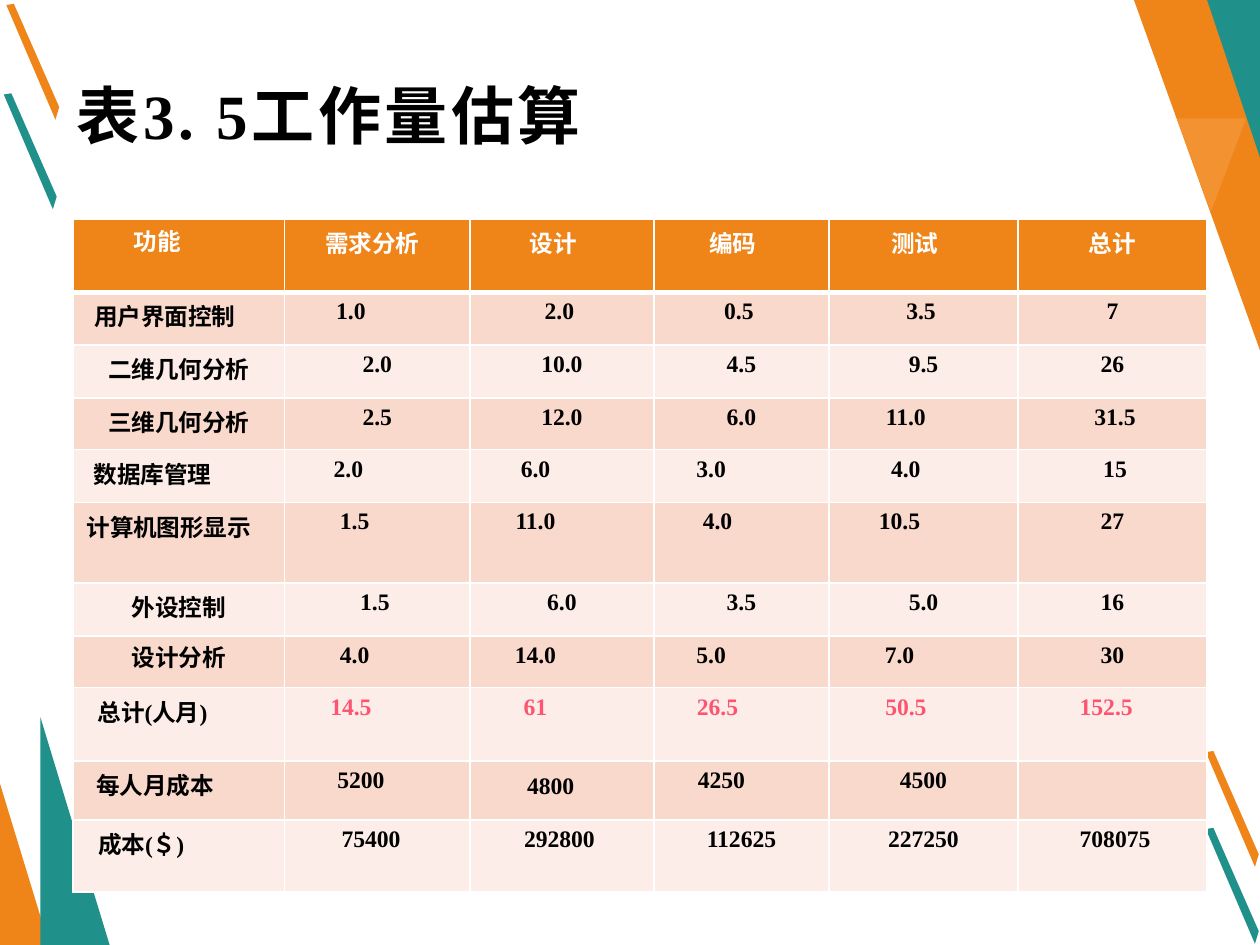
from lxml import etree
from pptx import Presentation
from pptx.dml.color import RGBColor
from pptx.enum.shapes import MSO_SHAPE as Shape
from pptx.enum.text import MSO_ANCHOR as Anchor, PP_ALIGN as Align
from pptx.oxml.ns import qn
from pptx.util import Inches, Pt

LATIN, CHINESE = "Times New Roman", "Noto Sans CJK SC"
ORANGE, TEAL, LIGHT_ORANGE = "EF8519", "20908A", "F39231"
BLACK, WHITE, PINK = "000000", "FFFFFF", "FD5571"
BANDS = ["FCEDE8", "F9D9CC"]

TITLE = "表3. 5工作量估算"
ROWS = [
    ["功能", "需求分析", "设计", "编码", "测试", "总计"],
    ["用户界面控制", "1.0", "2.0", "0.5", "3.5", "7"],
    ["二维几何分析", "2.0", "10.0", "4.5", "9.5", "26"],
    ["三维几何分析", "2.5", "12.0", "6.0", "11.0", "31.5"],
    ["数据库管理", "2.0", "6.0", "3.0", "4.0", "15"],
    ["计算机图形显示", "1.5", "11.0", "4.0", "10.5", "27"],
    ["外设控制", "1.5", "6.0", "3.5", "5.0", "16"],
    ["设计分析", "4.0", "14.0", "5.0", "7.0", "30"],
    ["总计(人月)", "14.5", "61", "26.5", "50.5", "152.5"],
    ["每人月成本", "5200", "4800", "4250", "4500", ""],
    ["成本(＄)", "75400", "292800", "112625", "227250", "708075"],
]
CENTRE_SHIFTS = [
    [-0.17, -0.04, -0.07, -0.07, -0.07, 0],
    [-0.11, -0.21, -0.02, -0.02, -0.02, 0],
    [0, 0, 0, 0, 0, 0],
    [0, 0, 0, 0, -0.14, 0.02],
    [-0.21, -0.23, -0.21, -0.24, -0.14, 0.02],
    [-0.08, -0.18, -0.21, -0.19, -0.19, 0],
    [0, -0.02, 0, 0, 0, 0],
    [0, -0.18, -0.21, -0.24, -0.19, 0],
    [-0.21, -0.21, -0.21, -0.19, -0.14, -0.05],
    [-0.19, -0.13, -0.09, -0.16, 0, 0],
    [-0.3, -0.05, -0.02, 0, 0, 0.02],
]
COLUMN_WIDTHS = [1.68, 1.47, 1.46, 1.39, 1.5, 1.5]
ROW_HEIGHTS = [0.58, 0.42, 0.42, 0.41, 0.42, 0.64, 0.42, 0.41, 0.58, 0.47, 0.57]
TOTAL_ROW = 8
TIGHT_CELLS = [(0, 0), (7, 0)]
LOWERED_CELL = (9, 2)

STRIPE = [(0, 0), (0.06, -0.01), (0.42, 0.81), (0.39, 0.91)]
STRIPES = [(9.57, 5.97, ORANGE), (0.03, 0.75, TEAL),
           (0.05, 0.04, ORANGE), (9.57, 6.58, TEAL)]
CORNER = [
    ([(9, 0), (10, 0), (10, 2.78)], ORANGE),
    ([(9.58, 0), (10, 0), (10, 1.25)], TEAL),
    ([(9.89, 0.94), (9.61, 1.68), (9.34, 0.94)], LIGHT_ORANGE),
]
TRIANGLES = [(0, 6.22, 0.39, 1.28, ORANGE), (0.32, 5.69, 0.55, 1.81, TEAL)]


def color(value):
    return RGBColor.from_string(value)


def paint(shape, fill):
    shape.shadow.inherit = False
    shape.fill.solid()
    shape.fill.fore_color.rgb = color(fill)
    shape.line.fill.background()


def add_polygon(slide, points, fill):
    points = [(Inches(x), Inches(y)) for x, y in points]
    builder = slide.shapes.build_freeform(*points[0])
    builder.add_line_segments(points[1:], close=True)
    paint(builder.convert_to_shape(), fill)


def write(text_frame, text, size, text_color=BLACK, align=Align.LEFT,
          line_spacing=1.0, tracking=None):
    paragraph = text_frame.paragraphs[0]
    paragraph.alignment = align
    paragraph.line_spacing = line_spacing
    run = paragraph.add_run()
    run.text = text
    run.font.size = Pt(size)
    run.font.bold = True
    run.font.color.rgb = color(text_color)
    run.font.name = LATIN
    properties = run.font._element
    etree.SubElement(properties, qn("a:ea"), typeface=CHINESE)
    if tracking:
        properties.set("spc", str(tracking * 100))


def add_borders(cell, bottom_width):
    properties = cell._tc.get_or_add_tcPr()
    for side, width in [("L", 1), ("R", 1), ("T", 1), ("B", bottom_width)]:
        line = etree.SubElement(properties, qn(f"a:ln{side}"), w=str(Pt(width)))
        fill = etree.SubElement(line, qn("a:solidFill"))
        etree.SubElement(fill, qn("a:srgbClr"), val=WHITE)


def format_cell(cell, row, column):
    header = row == 0
    add_borders(cell, 3 if header else 1)
    cell.fill.solid()
    cell.fill.fore_color.rgb = color(ORANGE if header else BANDS[row % 2])
    shift = CENTRE_SHIFTS[row][column]
    cell.margin_left = Inches(0.05 + max(2 * shift, 0))
    cell.margin_right = Inches(0.05 + max(-2 * shift, 0))
    cell.margin_top = Inches(0.1 if (row, column) == LOWERED_CELL else 0.05)
    if header:
        text_color = WHITE
    else:
        text_color = PINK if row == TOTAL_ROW and column else BLACK
    if ROWS[row][column]:
        write(cell.text_frame, ROWS[row][column], 13.5, text_color, Align.CENTER,
              0.9 if (row, column) in TIGHT_CELLS else 1.0)


def add_estimate_table(slide):
    frame = slide.shapes.add_table(
        len(ROWS), len(COLUMN_WIDTHS), Inches(0.58), Inches(1.74),
        Inches(sum(COLUMN_WIDTHS)), Inches(sum(ROW_HEIGHTS)))
    table = frame.table
    for column, width in zip(table.columns, COLUMN_WIDTHS):
        column.width = Inches(width)
    for row, height in zip(table.rows, ROW_HEIGHTS):
        row.height = Inches(height)
    for row in range(len(ROWS)):
        for column in range(len(COLUMN_WIDTHS)):
            format_cell(table.cell(row, column), row, column)


def main():
    presentation = Presentation()
    presentation.slide_width, presentation.slide_height = Inches(10), Inches(7.5)
    slide = presentation.slides.add_slide(presentation.slide_layouts[5])

    for left, top, fill in STRIPES:
        add_polygon(slide, [(left + x, top + y) for x, y in STRIPE], fill)
    for points, fill in CORNER:
        add_polygon(slide, points, fill)
    for *box, fill in TRIANGLES:
        triangle = slide.shapes.add_shape(Shape.ISOSCELES_TRIANGLE, *map(Inches, box))
        triangle.adjustments[0] = 0
        paint(triangle, fill)

    title = slide.shapes.title
    title.left, title.top = Inches(0.51), Inches(0.44)
    title.width, title.height = Inches(8.98), Inches(0.94)
    title.text_frame.vertical_anchor = Anchor.MIDDLE
    write(title.text_frame, TITLE, 36, tracking=2)

    add_estimate_table(slide)
    presentation.save("out.pptx")


if __name__ == "__main__":
    main()
